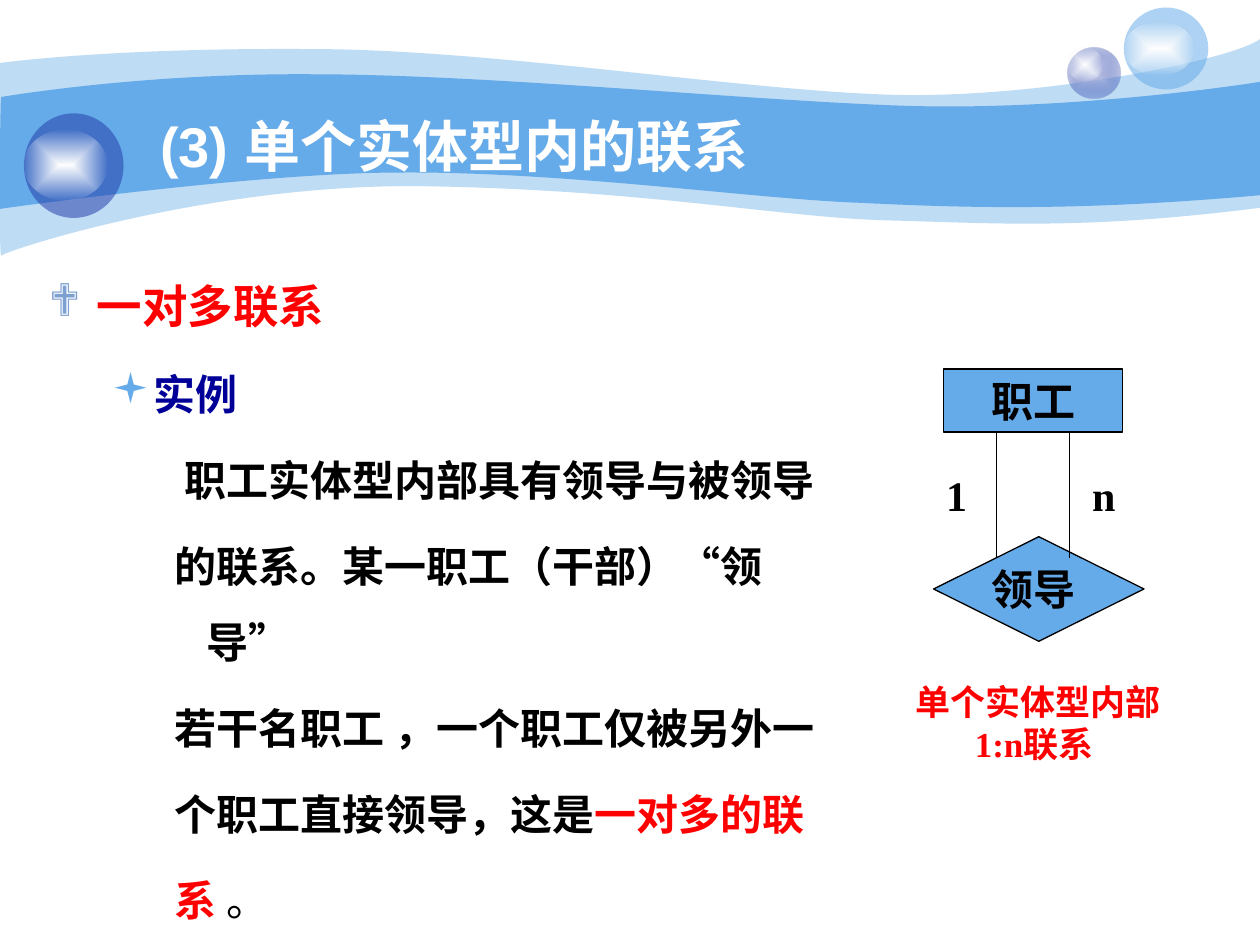
from lxml.etree import SubElement
from pptx import Presentation
from pptx.dml.color import RGBColor
from pptx.enum.shapes import MSO_CONNECTOR, MSO_SHAPE
from pptx.enum.text import MSO_ANCHOR, MSO_AUTO_SIZE, PP_ALIGN
from pptx.oxml import parse_xml
from pptx.oxml.ns import nsdecls, qn
from pptx.util import Inches, Pt

COLORS = {"sky": "65AAE9", "indigo": "233DA9", "lilac": "C7CEE9", "white": "FFFFFF",
          "black": "000000", "red": "FF0000", "navy": "000099", "bullet": "7DA0D3"}


def paint(sp, color, alpha=100, center=None):
    """Fill a shape plainly, or from a center color out to a color, with alpha in percent."""
    sp.shadow.inherit = False
    sp.line.fill.background()
    sp.fill.solid()
    sp.fill.fore_color.rgb = RGBColor.from_string(COLORS[color])
    solid = sp.element.spPr.find(qn("a:solidFill"))
    if center:
        sp.element.spPr.replace(solid, parse_xml(
            f'<a:gradFill {nsdecls("a")} rotWithShape="1"><a:gsLst>'
            f'<a:gs pos="0"><a:srgbClr val="{COLORS[center]}"/></a:gs>'
            f'<a:gs pos="100000"><a:srgbClr val="{COLORS[color]}">'
            f'<a:alpha val="{alpha * 1000}"/></a:srgbClr></a:gs></a:gsLst>'
            '<a:path path="rect"><a:fillToRect l="50000" t="50000" r="50000" b="50000"/>'
            '</a:path></a:gradFill>'))
    elif alpha < 100:
        SubElement(solid[0], qn("a:alpha"), val=str(alpha * 1000))


def add_run(p, text, color, size, name="Arial", bold=True, italic=False):
    r = p.add_run()
    r.text = text
    font = {"name": name, "size": Pt(size), "bold": bold, "italic": italic}
    for key, value in font.items():
        setattr(r.font, key, value)
    r.font.color.rgb = RGBColor.from_string(COLORS[color])


prs = Presentation()
prs.slide_width, prs.slide_height = Inches(10), Inches(7.5)
s = prs.slides.add_slide(prs.slide_layouts[5])

# Waves: start point, then Bezier segments (two controls and an end) or straight ends
waves = [
    (41, (0, 0.5), [
        (0.24, 0.47, 1.07, 0.38, 2.47, 0.39), (3.86, 0.39, 5.75, 0.7, 6.99, 0.75),
        (8.22, 0.8, 9.8, 0.47, 10, 0.31), (10, 1.65),
        (8.58, 1.83, 7.87, 1.77, 7.05, 1.75), (6.22, 1.73, 5.15, 1.51, 3.43, 1.48),
        (1.72, 1.44, 0.04, 1.99, 0.01, 2.03), (-0.01, 2.08, 0, 0.75, 0, 0.5)]),
    (100, (0.01, 0.77), [
        (0.02, 0.77, 1.1, 0.58, 2.48, 0.59), (3.86, 0.59, 5.95, 0.8, 7.18, 0.84),
        (8.41, 0.88, 9.76, 0.69, 10, 0.65), (10, 1.55),
        (8.53, 1.68, 7.65, 1.65, 6.82, 1.61), (5.99, 1.58, 4.47, 1.36, 3.17, 1.37),
        (2.03, 1.37, -0.02, 1.66, -0.01, 1.66), (0, 1.66, 0, 0.77, 0.01, 0.77)]),
]
for alpha, start, segments in waves:
    points = [pt for seg in segments for pt in zip(seg[::2], seg[1::2])]
    builder = s.shapes.build_freeform(*map(Inches, start))
    builder.add_line_segments([(Inches(x), Inches(y)) for x, y in points], close=True)
    sp = builder.convert_to_shape()
    paint(sp, "sky", alpha)
    # Merge each run of three line ends into one Bezier curve
    lines = iter(list(sp.element.iter(qn("a:lnTo"))))
    for seg in segments:
        ends = [next(lines) for _ in range(len(seg) // 2)]
        if len(ends) == 3:
            curve = parse_xml(f'<a:cubicBezTo {nsdecls("a")}/>')
            ends[0].addprevious(curve)
            for end in ends:
                curve.append(end[0])
                end.getparent().remove(end)

# Bubbles, each grouped with its highlight
bubbles = [
    ((8.47, 0.38, 0.42, 0.4), "indigo", 31, "lilac", (8.47, 0.38, 0.28, 0.27)),
    ((8.92, 0.06, 0.67, 0.65), "sky", 53, None, (8.92, 0.17, 0.56, 0.43)),
    ((0.19, 0.9, 0.79, 0.83), "indigo", 53, None, (0.19, 1.03, 0.66, 0.56)),
]
for box, color, alpha, center, highlight in bubbles:
    group = s.shapes.add_group_shape()
    sp = group.shapes.add_shape(MSO_SHAPE.OVAL, *map(Inches, box))
    paint(sp, color, alpha, center)
    sp = group.shapes.add_shape(MSO_SHAPE.OVAL, *map(Inches, highlight))
    paint(sp, "white", 0, "white")

# Title, brought in front of the waves
title = s.shapes.title
title.element.getparent().append(title.element)
title.left, title.top, title.width, title.height = map(Inches, (1.17, 0.84, 8.08, 0.62))
tf = title.text_frame
tf.vertical_anchor = MSO_ANCHOR.MIDDLE
tf.auto_size = MSO_AUTO_SIZE.NONE
tf.paragraphs[0].alignment = PP_ALIGN.LEFT
add_run(tf.paragraphs[0], "(3) 单个实体型内的联系", "white", 32)

# Body: margin and hanging indent by level, bullet and its color
levels = [(0.38, 0.38, "❖", "bullet"), (0.81, 0.31, "▪", "sky"), (1.25, 0.25, None, None)]
body = [
    (0, [("一对多联系", "red", 26)]),
    (1, [("实例", "navy", 24)]),
    (2, [(" ", "black", 24, "Arial", False, True),
         ("职工实体型内部具有领导与被领导", "black", 24)]),
    (2, [("的联系。某一职工（干部）“领导”", "black", 24)]),
    (2, [("若干名职工 ，一个职工仅被另外一", "black", 24)]),
    (2, [("个职工直接领导，这是", "black", 24), ("一对多的联", "red", 24)]),
    (2, [("系 ", "red", 24), ("。", "black", 24, "Arial", False)]),
]
tf = s.shapes.add_textbox(*map(Inches, (0.29, 1.94, 6.48, 4.75))).text_frame
tf.word_wrap = True
for i, (level, runs) in enumerate(body):
    p = tf.add_paragraph() if i else tf.paragraphs[0]
    p.level = level
    p.line_spacing = 1.5
    if i:
        p.space_before = Pt(6)
    margin, hang, char, color = levels[level]
    pPr = p._p.get_or_add_pPr()
    pPr.set("marL", str(Inches(margin)))
    pPr.set("indent", str(-Inches(hang)))
    if char:
        SubElement(SubElement(pPr, qn("a:buClr")), qn("a:srgbClr"), val=COLORS[color])
        SubElement(pPr, qn("a:buFont"), typeface="Wingdings", charset="2")
        SubElement(pPr, qn("a:buChar"), char=char)
    else:
        SubElement(pPr, qn("a:buNone"))
    for run in runs:
        add_run(p, *run)

# Diagram: entity, relationship, links, cardinalities and caption
diagram = s.shapes.add_group_shape().shapes
nodes = [
    (MSO_SHAPE.RECTANGLE, (7.49, 2.93, 1.42, 0.5), "职工"),
    (MSO_SHAPE.DIAMOND, (7.41, 4.26, 1.67, 0.83), "领导 "),
]
for kind, box, text in nodes:
    sp = diagram.add_shape(kind, *map(Inches, box))
    paint(sp, "sky")
    sp.line.color.rgb = RGBColor.from_string(COLORS["black"])
    sp.line.width = Pt(0.75)
    diamond = kind == MSO_SHAPE.DIAMOND
    tf = sp.text_frame
    tf.word_wrap = not diamond
    tf.vertical_anchor = MSO_ANCHOR.MIDDLE if diamond else MSO_ANCHOR.TOP
    tf.paragraphs[0].alignment = PP_ALIGN.CENTER
    add_run(tf.paragraphs[0], text, "black", 24, "Times New Roman")

for x, top, bottom in [(7.91, 4.43, 3.43), (8.49, 3.43, 4.43)]:
    link = diagram.add_connector(MSO_CONNECTOR.STRAIGHT, Inches(x), Inches(top),
                                 Inches(x), Inches(bottom))
    link.line.color.rgb = RGBColor.from_string(COLORS["black"])
    link.line.width = Pt(0.75)
    SubElement(link.element.spPr, qn("a:effectLst"))

labels = [
    ((7.41, 3.68, 0.42, 0.5), "1", "black", 24, PP_ALIGN.LEFT),
    ((8.57, 3.68, 0.42, 0.5), "n", "black", 24, PP_ALIGN.LEFT),
    ((6.99, 5.35, 2.5, 0.77), "单个实体型内部1:n联系 ", "red", 20, PP_ALIGN.CENTER),
]
for box, text, color, size, align in labels:
    tf = diagram.add_textbox(*map(Inches, box)).text_frame
    tf.word_wrap = True
    tf.paragraphs[0].alignment = align
    add_run(tf.paragraphs[0], text, color, size, "Times New Roman")

prs.save("out.pptx")
